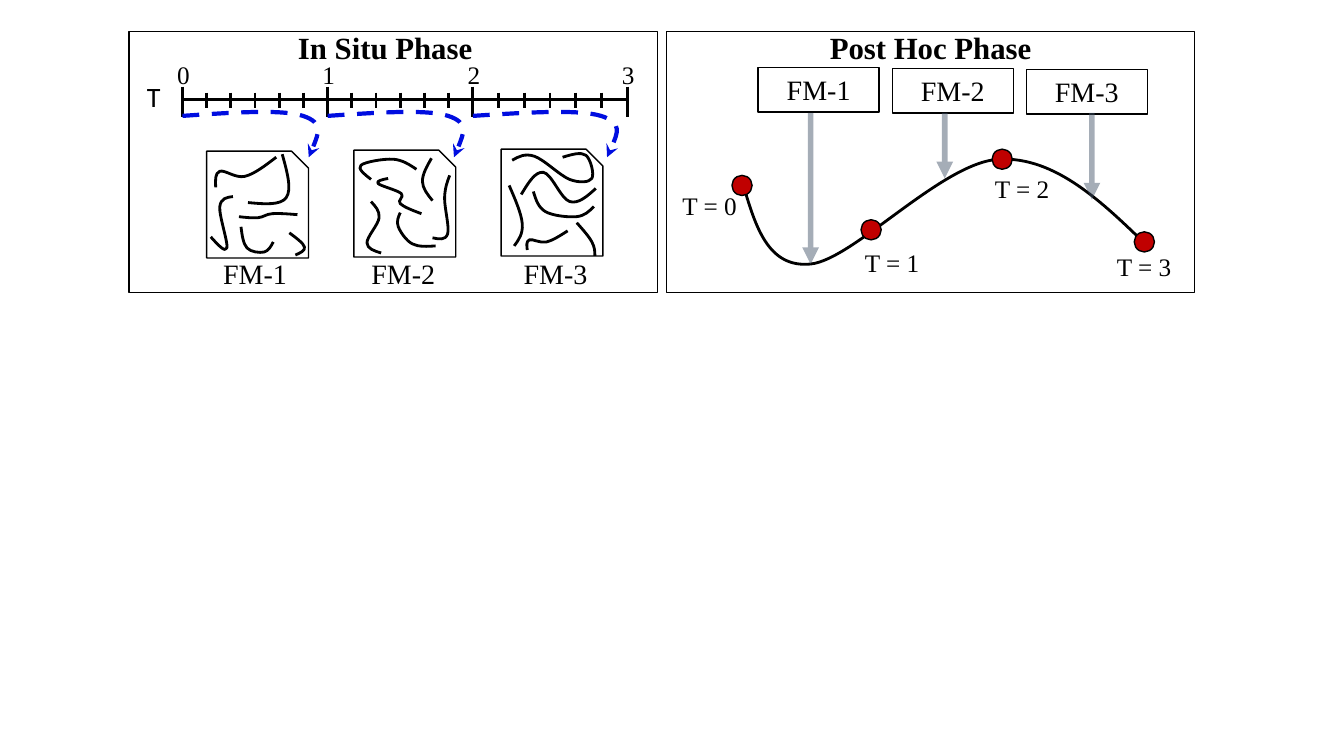
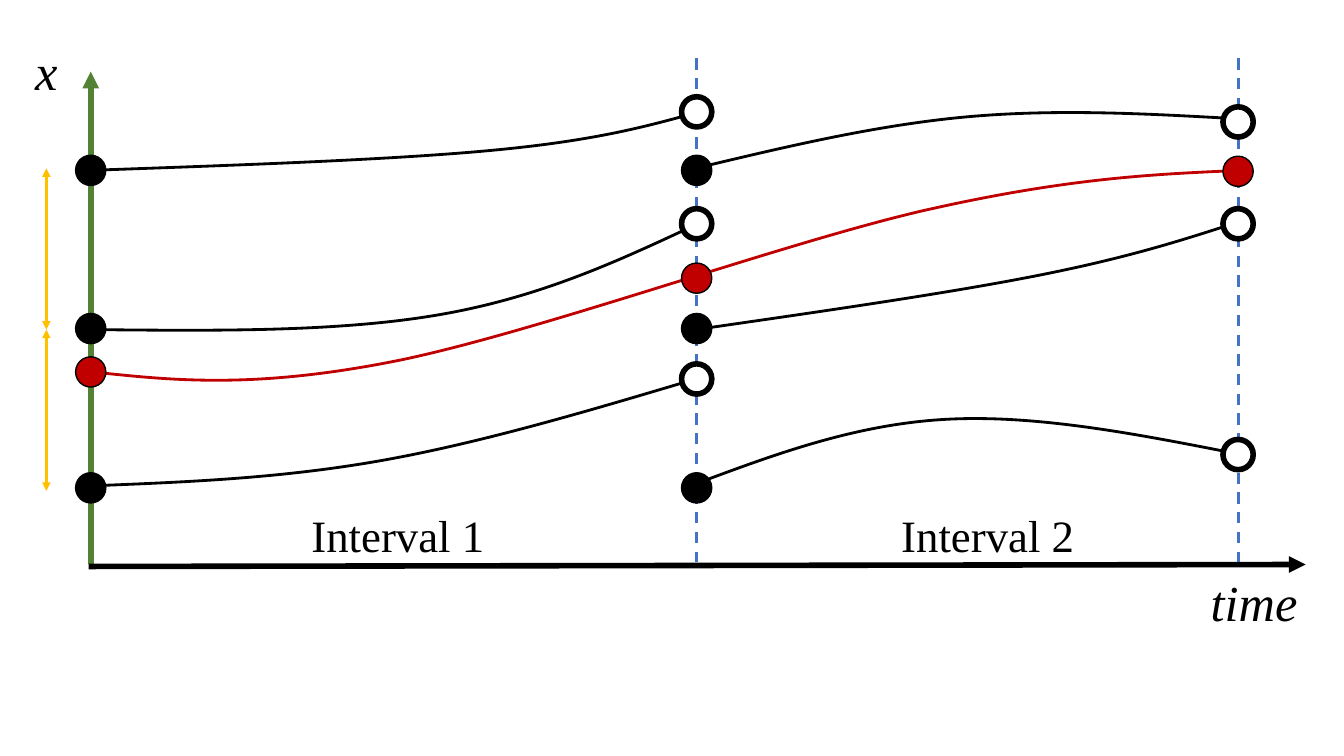
"""Build two diagram slides on flow maps: the two phases and the chained intervals."""
from dataclasses import dataclass
from itertools import pairwise, product
from typing import NamedTuple

from lxml import etree
from pptx import Presentation
from pptx.dml.color import RGBColor
from pptx.enum import dml, shapes, text
from pptx.oxml import ns
from pptx.util import Inches, Pt

Point = tuple[float, float]
Curve = tuple[Point, ...]


@dataclass(frozen=True)
class Theme:
    black: str = "000000"
    white: str = "FFFFFF"
    red: str = "C00000"
    blue: str = "000DE0"
    slate: str = "44546A"
    green: str = "548235"
    guide: str = "4472C4"
    gold: str = "FFC000"
    serif: str = "Times New Roman"
    sans: str = "Calibri"
    small: int = 18
    label: int = 20
    heading: int = 22
    interval: int = 32
    axis: int = 36


T = Theme()


class Stroke(NamedTuple):
    color: str = T.black
    width: float = 2
    dash: bool = False
    alpha: int = 100
    head: str = ""
    tail: str = ""


class Label(NamedTuple):
    text: str
    left: float
    top: float
    width: float = 1
    size: int = T.small
    font: str = T.serif
    bold: bool = False
    italic: bool = False
    center: bool = False
    wrap: bool = True


class Station(NamedTuple):
    dot: Point
    label: Point


THIN = Stroke(width=1)
JUMP = Stroke(T.blue, 3, dash=True, tail="stealth")
POINTER = Stroke(T.slate, 4, alpha=47, tail="triangle")
GUIDE = Stroke(T.guide, 2, dash=True)
SPAN = Stroke(T.gold, 2, head="triangle", tail="triangle")

MAJOR_TICKS = (1.81, 3.25, 4.69, 6.22)
MINOR_STEPS = 6
MAP_LABEL_CENTERS = (2.53, 4, 5.51)
POINTERS = ((8.04, 2.62), (9.37, 1.77), (10.83, 1.98))
STATIONS = (
    Station((7.26, 1.74), (6.67, 1.84)),
    Station((8.54, 2.18), (8.48, 2.4)),
    Station((9.84, 1.48), (9.77, 1.67)),
    Station((11.25, 2.3), (10.98, 2.44)),
)
TRAJECTORY: Curve = ((7.37, 1.83), (8.04, 2.62), (9.91, 1.58), (11.4, 2.46))
STREAMLINES: tuple[Curve, ...] = (
    ((2.14, 1.86), (2.18, 1.7), (2.43, 1.75), (2.74, 1.56)),
    ((2.09, 2.35), (2.25, 2.46), (2.18, 2.05), (2.31, 1.95)),
    ((2.46, 2.01), (2.84, 1.96), (2.8, 1.53)),
    ((2.37, 2.15), (2.56, 2.16), (2.7, 2.12), (2.95, 2.13)),
    ((2.93, 2.53), (3.02, 2.45), (2.87, 2.31)),
    ((2.39, 2.25), (2.45, 2.46), (2.62, 2.5), (2.71, 2.4)),
    ((3.68, 1.78), (3.58, 1.64), (3.9, 1.58), (4.13, 1.68)),
    ((3.78, 2.51), (3.64, 2.41), (3.76, 2.16), (3.68, 2)),
    ((4.29, 2.36), (4.44, 2.32), (4.41, 1.96), (4.46, 1.74)),
    ((3.97, 2.11), (3.95, 2.25), (4.09, 2.42), (4.32, 2.44)),
    ((4.18, 2.12), (3.97, 2.02), (3.98, 1.92), (3.75, 1.82), (3.85, 1.77)),
    ((4.29, 1.99), (4.19, 1.8), (4.28, 1.57)),
    ((5.1, 2.44), (5.18, 2.22), (5.05, 1.84)),
    ((5.08, 1.59), (5.3, 1.55), (5.65, 1.78), (5.87, 1.77), (5.81, 1.54), (5.58, 1.56)),
    ((5.29, 1.9), (5.41, 2.1), (5.72, 2.15), (5.89, 2.05)),
    ((5.91, 1.87), (5.65, 2), (5.39, 1.71), (5.17, 1.93)),
    ((5.23, 2.48), (5.25, 2.38), (5.42, 2.4), (5.63, 2.29)),
    ((5.9, 2.54), (5.87, 2.4), (5.72, 2.21)),
)

RED_PATH: Curve = ((0.92, 3.69), (3.88, 3.59), (9.2, 2.08), (12.31, 1.69))
INTERVAL_PATHS: tuple[Curve, ...] = (
    ((0.9, 1.69), (4.9, 1.49), (6.9, 1.12)),
    ((0.9, 3.27), (4.37, 3.12), (6.92, 2.22)),
    ((0.92, 4.82), (3.78, 4.57), (6.9, 3.76)),
    ((6.9, 1.67), (9.59, 1.16), (12.29, 1.18)),
    ((6.9, 3.27), (10.31, 2.73), (12.29, 2.2)),
    ((6.9, 4.8), (9.39, 4.16), (12.31, 4.51)),
)
COLUMNS = (0.75, 6.76, 12.13)
SEED_TOPS = (1.54, 3.11, 4.69)
END_TOPS = ((0.96, 2.07, 3.61), (1.06, 2.07, 4.36))
TRACED_TOPS = (3.54, 2.61, 1.55)


def add_child(parent, tag: str, **attrs):
    """Append a DrawingML element."""
    return etree.SubElement(parent, ns.qn(tag), {k: str(v) for k, v in attrs.items()})


def apply_stroke(sp, stroke: Stroke) -> None:
    """Set colour, width, dash, opacity and arrowheads of an outline."""
    sp.line.color.rgb = RGBColor.from_string(stroke.color)
    sp.line.width = Pt(stroke.width)
    if stroke.dash:
        sp.line.dash_style = dml.MSO_LINE.DASH
    ln = sp.element.spPr.find(ns.qn("a:ln"))
    if stroke.alpha < 100:
        add_child(ln.find(".//" + ns.qn("a:srgbClr")), "a:alpha", val=stroke.alpha * 1000)
    for tag, kind in (("a:headEnd", stroke.head), ("a:tailEnd", stroke.tail)):
        if kind:
            add_child(ln, tag, type=kind)


def add_line(s, start: Point, end: Point, stroke: Stroke = Stroke()) -> None:
    """Draw a straight connector."""
    sp = s.shapes.add_connector(shapes.MSO_CONNECTOR.STRAIGHT, *map(Inches, (*start, *end)))
    apply_stroke(sp, stroke)
    add_child(sp.element.spPr, "a:effectLst")


def add_preset(s, kind, box: tuple[float, ...], stroke: Stroke = THIN, fill: str = ""):
    """Draw a preset shape, hollow unless a fill is given."""
    sp = s.shapes.add_shape(kind, *map(Inches, box))
    sp.shadow.inherit = False
    if fill:
        sp.fill.solid()
        sp.fill.fore_color.rgb = RGBColor.from_string(fill)
    else:
        sp.fill.background()
    apply_stroke(sp, stroke)
    return sp


def add_dot(s, left: float, top: float, size: float, fill: str, stroke: Stroke = THIN) -> None:
    """Draw a round marker."""
    add_preset(s, shapes.MSO_SHAPE.OVAL, (left, top, size, size), stroke, fill)


def mix(a: Point, b: Point, weight: float) -> Point:
    """Return the point a given share of the way from a to b."""
    return a[0] + (b[0] - a[0]) * weight, a[1] + (b[1] - a[1]) * weight


def spline(anchors: Curve) -> list[Curve]:
    """Turn three or more anchors into smooth cubic Bézier segments."""
    handles = []
    for before, here, after in zip(anchors, anchors[1:], anchors[2:]):
        dx, dy = (after[0] - before[0]) / 6, (after[1] - before[1]) / 6
        handles.append(((here[0] - dx, here[1] - dy), (here[0] + dx, here[1] + dy)))
    leaving = [mix(anchors[0], handles[0][0], 0.5), *(h[1] for h in handles)]
    arriving = [*(h[0] for h in handles), mix(handles[-1][1], anchors[-1], 0.5)]
    return list(zip(anchors, leaving, arriving, anchors[1:]))


def bezier(ctrl: Curve, t: float) -> Point:
    """Return the point at t on a cubic Bézier segment."""
    while len(ctrl) > 1:
        ctrl = tuple(mix(a, b, t) for a, b in pairwise(ctrl))
    return ctrl[0]


def add_curve(s, anchors: Curve, stroke: Stroke = Stroke()) -> None:
    """Draw a smooth freeform whose frame fits the curve tightly."""
    segments = spline(anchors)
    samples = [bezier(seg, k / 20) for seg in segments for k in range(1, 21)]
    builder = s.shapes.build_freeform(*map(Inches, anchors[0]), scale=1.0)
    builder.add_line_segments([(Inches(x), Inches(y)) for x, y in samples], close=False)
    sp = builder.convert_to_shape()
    outline = sp.element.spPr.find(".//" + ns.qn("a:path"))
    for node in outline.findall(ns.qn("a:lnTo")):
        outline.remove(node)
    for seg in segments:
        node = add_child(outline, "a:cubicBezTo")
        for x, y in seg[1:]:
            add_child(node, "a:pt", x=Inches(x) - sp.left, y=Inches(y) - sp.top)
    sp.shadow.inherit = False
    sp.fill.background()
    apply_stroke(sp, stroke)


def write(tf, label: Label) -> None:
    """Write one formatted run into a text frame."""
    tf.word_wrap = label.wrap
    p = tf.paragraphs[0]
    p.alignment = text.PP_ALIGN.CENTER if label.center else text.PP_ALIGN.LEFT
    r = p.add_run()
    r.text = label.text
    r.font.name, r.font.size = label.font, Pt(label.size)
    r.font.bold, r.font.italic = label.bold, label.italic
    r.font.color.rgb = RGBColor.from_string(T.black)


def add_label(s, label: Label) -> None:
    """Place a text box one line high."""
    height = label.size / 60 + 0.1
    sp = s.shapes.add_textbox(*map(Inches, (label.left, label.top, label.width, height)))
    write(sp.text_frame, label)
    sp.text_frame.auto_size = text.MSO_AUTO_SIZE.SHAPE_TO_FIT_TEXT


def build_in_situ(s) -> None:
    """Draw the time line and the flow maps it yields."""
    add_line(s, (MAJOR_TICKS[-1], 0.99), (MAJOR_TICKS[0], 0.99))
    add_label(s, Label("T", 1.36, 0.74, size=T.label, font=T.sans))
    for i, x in enumerate(MAJOR_TICKS):
        add_line(s, (x, 0.86), (x, 1.16))
        add_label(s, Label(str(i), x - 0.15, 0.54, 0.33))
    for a, b in pairwise(MAJOR_TICKS):
        gap = b - a
        for k in range(1, MINOR_STEPS):
            x = a + gap * k / MINOR_STEPS
            add_line(s, (x, 0.92), (x, 1.07))
        add_curve(s, ((a, 1.15), (a + 0.83 * gap, 1.15), (a + 0.87 * gap, 1.56)), JUMP)
    for i, x in enumerate(MAP_LABEL_CENTERS):
        box = (2.05 + 1.46 * i, 1.5 - 0.01 * i, 1.01, 1.06)
        add_preset(s, shapes.MSO_SHAPE.SNIP_1_RECTANGLE, box)
        add_label(s, Label(f"FM-{i + 1}", x - 0.6, 2.5, 1.2, T.label, center=True))
    for anchors in STREAMLINES:
        add_curve(s, anchors)


def build_post_hoc(s) -> None:
    """Draw the trajectory traced through the flow maps."""
    add_curve(s, TRAJECTORY)
    for i, (x, bottom) in enumerate(POINTERS):
        left, top = 7.52 + 1.33 * i, 0.67 + 0.01 * i
        sp = add_preset(s, shapes.MSO_SHAPE.RECTANGLE, (left, top, 1.2, 0.44))
        write(sp.text_frame, Label(f"FM-{i + 1}", left, top, size=T.label, center=True))
        add_line(s, (x, 1.12), (x, bottom), POINTER)
    for i, station in enumerate(STATIONS):
        add_dot(s, *station.dot, 0.2, T.red)
        add_label(s, Label(f"T = {i}", *station.label))


def build_phases(s) -> None:
    """Draw the in situ and post hoc panels."""
    for name, left, center in (("In Situ Phase", 1.28, 3.82), ("Post Hoc Phase", 6.61, 9.23)):
        add_preset(s, shapes.MSO_SHAPE.RECTANGLE, (left, 0.31, 5.24, 2.59))
        add_label(s, Label(name, center - 1.25, 0.24, 2.5, T.heading, bold=True, center=True))
    build_in_situ(s)
    build_post_hoc(s)


def build_intervals(s) -> None:
    """Draw the particle paths over two intervals."""
    add_curve(s, RED_PATH, Stroke(T.red))
    add_line(s, (0.9, 5.6), (0.9, 0.71), Stroke(T.green, 4, tail="triangle"))
    add_line(s, (0.88, 5.62), (12.95, 5.6), Stroke(width=4, tail="triangle"))
    for x in COLUMNS[1:]:
        add_line(s, (x + 0.15, 0.58), (x + 0.15, 5.58), GUIDE)
    for x, y in product(COLUMNS[:2], SEED_TOPS):
        add_dot(s, x, y, 0.3, T.black)
    for anchors in INTERVAL_PATHS:
        add_curve(s, anchors)
    for x, tops in zip(COLUMNS[1:], END_TOPS):
        for y in tops:
            add_dot(s, x, y, 0.3, T.white, Stroke(width=4))
    for x, y in zip(COLUMNS, TRACED_TOPS):
        add_dot(s, x, y, 0.3, T.red)
    for top in (1.67, 3.27):
        add_line(s, (0.46, top), (0.46, top + 1.6), SPAN)
    for name, x, y, width in (("time", 11.91, 5.62, 1.07), ("x", 0.25, 0.35, 0.43)):
        add_label(s, Label(name, x, y, width, T.axis, italic=True, wrap=False))
    for i, x in enumerate((2.99, 8.84), 1):
        add_label(s, Label(f"Interval {i}", x, 4.99, 2.47, T.interval))


def main() -> None:
    """Build and save the presentation."""
    prs = Presentation()
    prs.slide_width, prs.slide_height = Inches(13.33), Inches(7.5)
    for build in (build_phases, build_intervals):
        build(prs.slides.add_slide(prs.slide_layouts[6]))
    prs.save("out.pptx")


if __name__ == "__main__":
    main()
